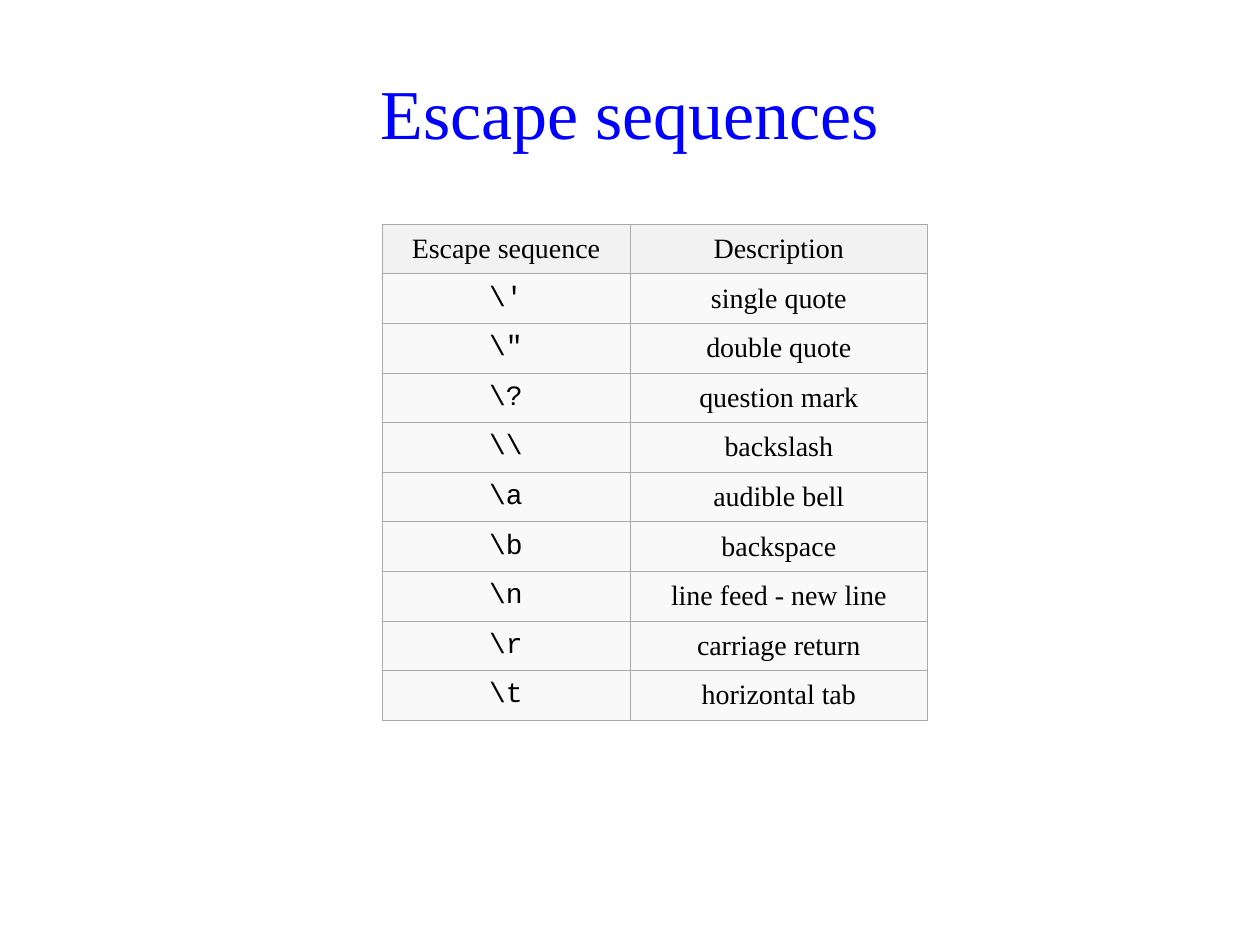
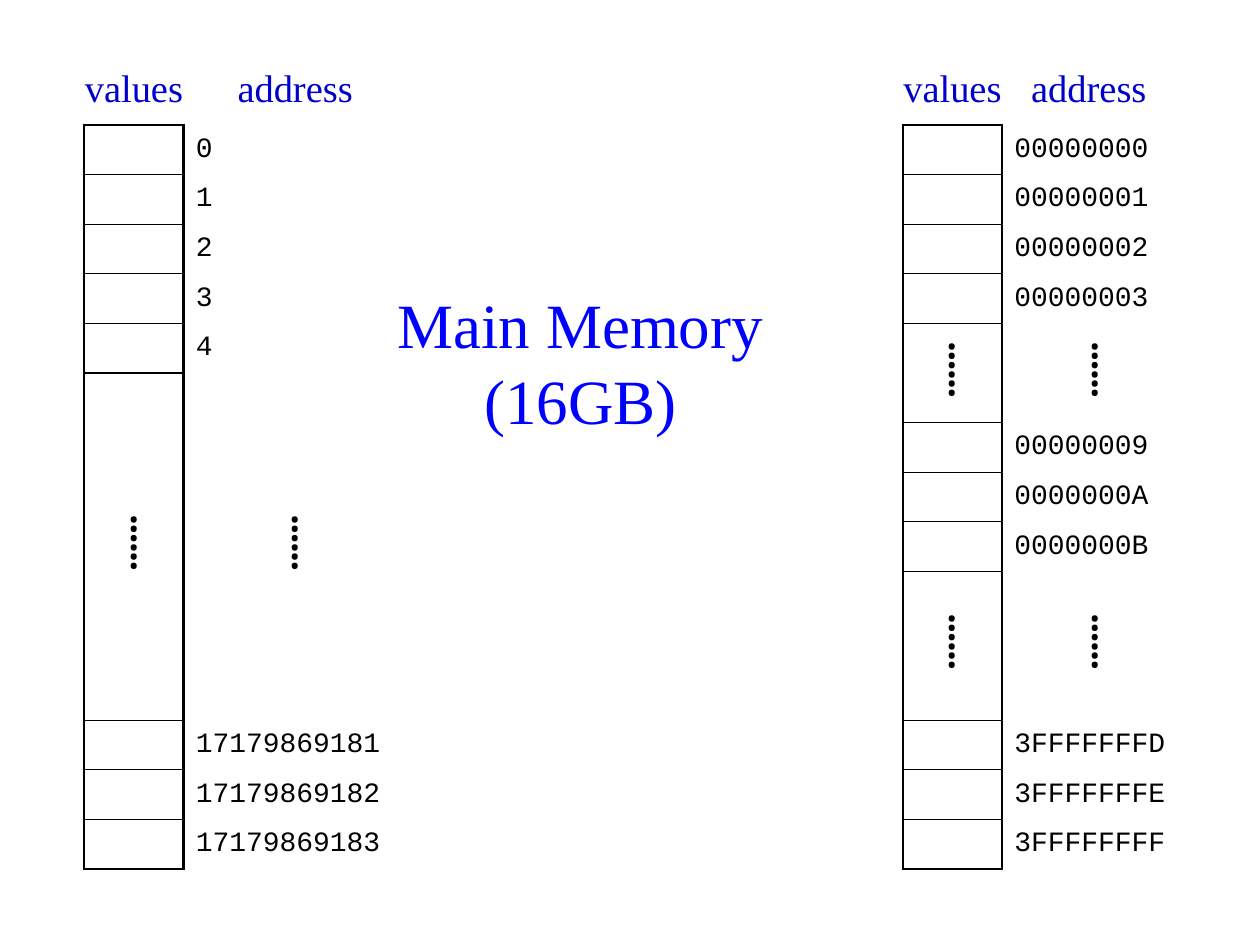
from lxml.etree import SubElement
from pptx import Presentation
from pptx.dml.color import RGBColor
from pptx.enum.text import MSO_ANCHOR, PP_ALIGN
from pptx.oxml.ns import qn
from pptx.util import Cm, Pt

SERIF, MONO = "Times New Roman", "Courier New"
BLACK, TITLE_BLUE, LABEL_BLUE = "000000", "0000FF", "0000CC"
GRID, HEAD_FILL, BODY_FILL = "AAAAAA", "F2F2F2", "F9F9F9"
THICK, THIN = (BLACK, 1.5), (BLACK, 0.75)
DOTS = "⸽"
ROW = 1  # height of one table row, cm
MEMORY_TOP = 2.52


def rgb(value):
    return RGBColor.from_string(value)


def put_text(tf, text, size=16, font=SERIF, color=BLACK, align=PP_ALIGN.CENTER):
    p = tf.paragraphs[0]
    p.text = text
    p.alignment = align
    for r in p.runs:
        r.font.size = Pt(size)
        r.font.name = font
        r.font.color.rgb = rgb(color)


def set_borders(cell, **sides):
    """Draw the given sides (L, R, T, B) as (colour, points); hide the rest."""
    tcPr = cell._tc.get_or_add_tcPr()
    for i, side in enumerate("LRTB"):
        color, width = sides.get(side, (None, 0))
        ln = SubElement(tcPr, qn(f"a:ln{side}"), w=str(Pt(width)))
        if color:
            fill = SubElement(ln, qn("a:solidFill"))
            SubElement(fill, qn("a:srgbClr"), val=color)
        else:
            SubElement(ln, qn("a:noFill"))
        tcPr.insert(i, ln)


class Deck:
    def __init__(self):
        self.prs = Presentation()
        self.prs.slide_width, self.prs.slide_height = Cm(25.4), Cm(19.05)
        self.s = None

    def add_slide(self):
        self.s = self.prs.slides.add_slide(self.prs.slide_layouts[6])

    def text(self, text, left, top, width, height, **style):
        sp = self.s.shapes.add_textbox(Cm(left), Cm(top), Cm(width), Cm(height))
        tf = sp.text_frame
        tf.word_wrap = True
        tf.vertical_anchor = MSO_ANCHOR.MIDDLE
        put_text(tf, text, **style)

    def title(self, text, left, top, width, height, size=40):
        self.text(text, left, top, width, height, size=size, color=TITLE_BLUE)

    def label(self, text, left, width):
        self.text(text, left, 1, width, 1.5, size=22, color=LABEL_BLUE)

    def table(self, left, top, widths, heights):
        frame = self.s.shapes.add_table(len(heights), len(widths), Cm(left), Cm(top),
                                        Cm(sum(widths)), Cm(sum(heights)))
        table = frame.table
        table.first_row = table.horz_banding = False
        for column, width in zip(table.columns, widths):
            column.width = Cm(width)
        for row, height in zip(table.rows, heights):
            row.height = Cm(height)
        return table

    def cell(self, cell, text, borders, fill=None, margins=(0, 0, 0, 0), **style):
        if fill:
            cell.fill.solid()
            cell.fill.fore_color.rgb = rgb(fill)
        else:
            cell.fill.background()
        set_borders(cell, **borders)
        (cell.margin_left, cell.margin_top,
         cell.margin_right, cell.margin_bottom) = map(Cm, margins)
        cell.vertical_anchor = MSO_ANCHOR.MIDDLE
        put_text(cell.text_frame, text, **style)

    def memory(self, left, address_width, rows, right_margin=0):
        """Draw a column of memory cells with (address, height) rows beside it."""
        table = self.table(left, MEMORY_TOP, (2, address_width), [h for _, h in rows])
        last = len(rows) - 1
        for i, (address, _) in enumerate(rows):
            gap = address == DOTS
            size = 28 if gap else 16
            box = dict(L=THICK, R=THICK, T=THIN if i else THICK,
                       B=THIN if i < last else THICK)
            self.cell(table.cell(i, 0), DOTS if gap else "", box, size=size, font=MONO)
            self.cell(table.cell(i, 1), address, dict(L=THICK), size=size, font=MONO,
                      margins=(0.25, 0, right_margin, 0),
                      align=PP_ALIGN.CENTER if gap else PP_ALIGN.LEFT)
        self.label("values", left - 0.5, 3)
        self.label("address", left + 2, address_width)


def addresses(*names):
    return [(name, ROW) for name in names]


def gap(rows):
    return [(DOTS, rows * ROW)]


def escape_slide(deck):
    deck.add_slide()
    deck.title("Escape sequences", 1.2, 1, 23, 2.5)
    meanings = {
        "'": "single quote", '"': "double quote", "?": "question mark",
        "\\": "backslash", "a": "audible bell", "b": "backspace",
        "n": "line feed - new line", "r": "carriage return", "t": "horizontal tab",
    }
    rows = [("Escape sequence", "Description")]
    rows += [("\\" + char, meaning) for char, meaning in meanings.items()]
    table = deck.table(7.7, 4.52, (5, 6), [ROW] * len(rows))
    borders = dict.fromkeys("LRTB", (GRID, 0.6))
    for i, row in enumerate(rows):
        for j, text in enumerate(row):
            deck.cell(table.cell(i, j), text, borders,
                      fill=BODY_FILL if i else HEAD_FILL,
                      margins=(0.25, 0.1, 0.25, 0.1),
                      font=MONO if i and j == 0 else SERIF)


def memory_slide(deck):
    deck.add_slide()
    deck.title("Main Memory\n(16GB)", 7.7, 5.54, 8, 3.5, size=36)
    # Hexadecimal addresses
    deck.memory(18.2, 3.5,
                addresses("00000000", "00000001", "00000002", "00000003") + gap(2)
                + addresses("00000009", "0000000A", "0000000B") + gap(3)
                + addresses("3FFFFFFFD", "3FFFFFFFE", "3FFFFFFFF"))
    # Decimal addresses
    deck.memory(1.7, 4.5,
                addresses(*"01234") + gap(7)
                + addresses("17179869181", "17179869182", "17179869183"),
                right_margin=0.25)


def main():
    deck = Deck()
    escape_slide(deck)
    memory_slide(deck)
    deck.prs.save("out.pptx")


if __name__ == "__main__":
    main()
